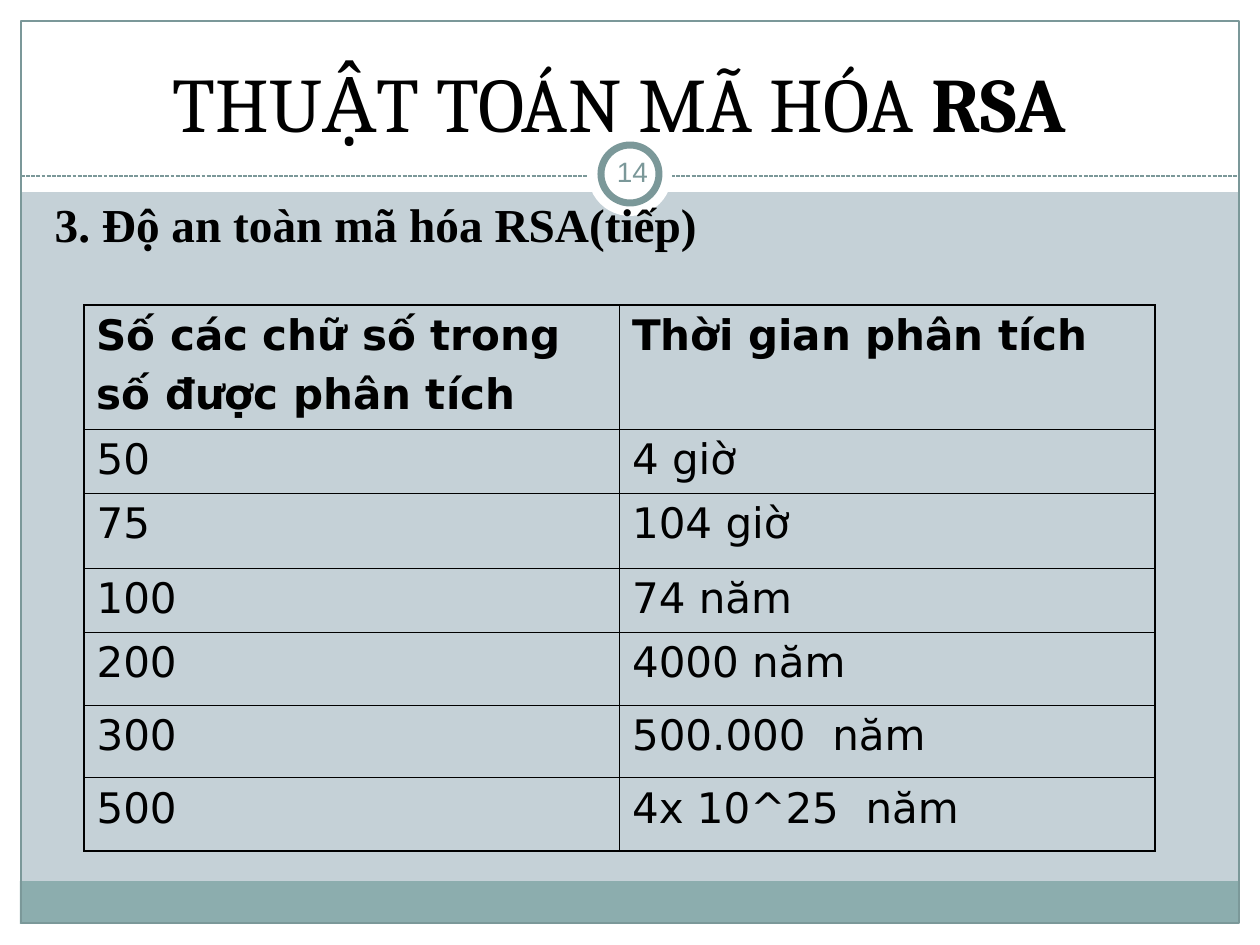
from lxml.etree import SubElement
from pptx import Presentation
from pptx.dml.color import RGBColor
from pptx.enum.dml import MSO_LINE
from pptx.enum.shapes import MSO_CONNECTOR, MSO_SHAPE
from pptx.enum.text import MSO_ANCHOR, MSO_AUTO_SIZE, PP_ALIGN
from pptx.oxml.ns import qn
from pptx.util import Emu, Pt

WIDTH, HEIGHT = 1260, 945
BLACK, WHITE, TEAL, LINE = "000000", "FFFFFF", "8CADAE", "7B9899"
BACKGROUND = "C5D1D7"
THIN, THICK = 0.45, 1.08
ROW_HEIGHTS = [124, 64, 75, 64, 73, 73, 73]
ROWS = [
    (["Số các chữ số trong", "số được phân tích"], ["Thời gian phân tích"]),
    (["50"], ["4 giờ"]),
    (["75"], ["104 giờ"]),
    (["100"], ["74 năm"]),
    (["200"], ["4000 năm"]),
    (["300"], ["500.000  năm"]),
    (["500"], ["4x 10^25  năm"]),
]


def px(length):
    """Turn pixels into EMU."""
    return Emu(round(length * 914400 / 126))


def color(value):
    """Turn a hex string into a colour."""
    return RGBColor.from_string(value)


def place(shape, left, top, width, height):
    """Move and size a shape."""
    shape.left, shape.top = px(left), px(top)
    shape.width, shape.height = px(width), px(height)


def add_span(para, text, size, font, fill=BLACK, bold=False):
    """Add one formatted run to a paragraph."""
    span = para.add_run()
    span.text = text
    span.font.size, span.font.name, span.font.bold = Pt(size), font, bold
    span.font.color.rgb = color(fill)


def add_shape(page, kind, bounds, fill=None, line=None, weight=0.75):
    """Add a preset shape with optional fill and outline."""
    shape = page.shapes.add_shape(kind, *map(px, bounds))
    shape.shadow.inherit = False
    if fill:
        shape.fill.solid()
        shape.fill.fore_color.rgb = color(fill)
    else:
        shape.fill.background()
    if line:
        shape.line.color.rgb = color(line)
        shape.line.width = Pt(weight)
    else:
        shape.line.fill.background()


def add_divider(page, left, right, top):
    """Add the dashed line below the title."""
    line = page.shapes.add_connector(
        MSO_CONNECTOR.STRAIGHT, px(left), px(top), px(right), px(top))
    line.line.color.rgb = color(LINE)
    line.line.width = Pt(0.75)
    line.line.dash_style = MSO_LINE.SQUARE_DOT
    SubElement(line.element.spPr, qn("a:effectLst"))


def add_frame(page):
    """Add the margins, footer band, outline and number ring."""
    rect, oval = MSO_SHAPE.RECTANGLE, MSO_SHAPE.OVAL
    for bounds in [(0, 924, WIDTH, 21), (0, 0, WIDTH, 192),
                   (0, 0, 21, HEIGHT), (1239, 0, 21, HEIGHT)]:
        add_shape(page, rect, bounds, WHITE)
    add_shape(page, rect, (20, 881, 1218, 43), TEAL)
    add_shape(page, rect, (21, 21, 1218, 902), line=LINE)
    add_divider(page, 21, 1239, 176)
    add_shape(page, oval, (588, 132, 84, 84), WHITE)
    add_shape(page, oval, (601, 145, 58, 58), WHITE, LINE, 4)


def add_number(page, number):
    """Add the slide number inside the ring."""
    box = page.shapes.add_textbox(px(601), px(141), px(63), px(60))
    frame = box.text_frame
    frame.word_wrap = True
    frame.vertical_anchor = MSO_ANCHOR.MIDDLE
    frame.margin_left = frame.margin_right = px(6)
    para = frame.paragraphs[0]
    para.alignment = PP_ALIGN.CENTER
    add_span(para, number, 16, "Arial", LINE)


def set_border(cell, side, weight):
    """Draw one black border of a cell."""
    border = SubElement(cell._tc.get_or_add_tcPr(), qn(f"a:ln{side}"),
                        w=str(Pt(weight)))
    fill = SubElement(border, qn("a:solidFill"))
    SubElement(fill, qn("a:srgbClr"), val=BLACK)


def fill_cell(cell, lines, bold):
    """Write the lines of a cell, one paragraph each."""
    frame = cell.text_frame
    for index, text in enumerate(lines):
        para = frame.add_paragraph() if index else frame.paragraphs[0]
        para.space_before = Pt(6)
        add_span(para, text, 24, "DejaVu Sans", bold=bold)


def add_times_table(page):
    """Add the table of factoring times with a thicker outer border."""
    last_row, last_col = len(ROWS) - 1, len(ROWS[0]) - 1
    table = page.shapes.add_table(
        len(ROWS), len(ROWS[0]), px(84), px(305), px(1071),
        px(sum(ROW_HEIGHTS))).table
    table.first_row = table.horz_banding = False
    for row, height in enumerate(ROW_HEIGHTS):
        table.rows[row].height = px(height)
        for col, lines in enumerate(ROWS[row]):
            cell = table.cell(row, col)
            fill_cell(cell, lines, bold=row == 0)
            outer = {"L": col == 0, "R": col == last_col,
                     "T": row == 0, "B": row == last_row}
            for side, is_outer in outer.items():
                set_border(cell, side, THICK if is_outer else THIN)
            cell.fill.background()


def open_placeholder(page, index, bounds, anchor):
    """Bring a placeholder to the front and return its first paragraph."""
    box = page.placeholders[index]
    box.element.getparent().append(box.element)
    place(box, *bounds)
    frame = box.text_frame
    frame.word_wrap = True
    frame.auto_size = MSO_AUTO_SIZE.NONE
    frame.vertical_anchor = anchor
    return frame.paragraphs[0]


def write_title(page):
    """Write the slide title."""
    para = open_placeholder(page, 0, (84, 0, 1071, 203), MSO_ANCHOR.MIDDLE)
    para.alignment = PP_ALIGN.CENTER
    add_span(para, "THUẬT TOÁN MÃ HÓA ", 44, "Cambria")
    add_span(para, "RSA", 44, "Cambria", bold=True)


def write_heading(page):
    """Write the section heading without a bullet."""
    para = open_placeholder(page, 1, (42, 189, 1176, 73), MSO_ANCHOR.TOP)
    para.space_before = Pt(6.8)
    props = para._p.get_or_add_pPr()
    props.set("marL", str(px(38)))
    props.set("indent", str(px(-38)))
    SubElement(props, qn("a:buNone"))
    add_span(para, "3. Độ an toàn mã hóa RSA(tiếp)", 27, "Times New Roman",
             bold=True)


def main():
    """Build and save the deck."""
    deck = Presentation()
    deck.slide_width, deck.slide_height = px(WIDTH), px(HEIGHT)
    page = deck.slides.add_slide(deck.slide_layouts[1])
    page.background.fill.solid()
    page.background.fill.fore_color.rgb = color(BACKGROUND)
    add_frame(page)
    add_number(page, "14")
    add_times_table(page)
    write_title(page)
    write_heading(page)
    deck.save("out.pptx")


if __name__ == "__main__":
    main()
